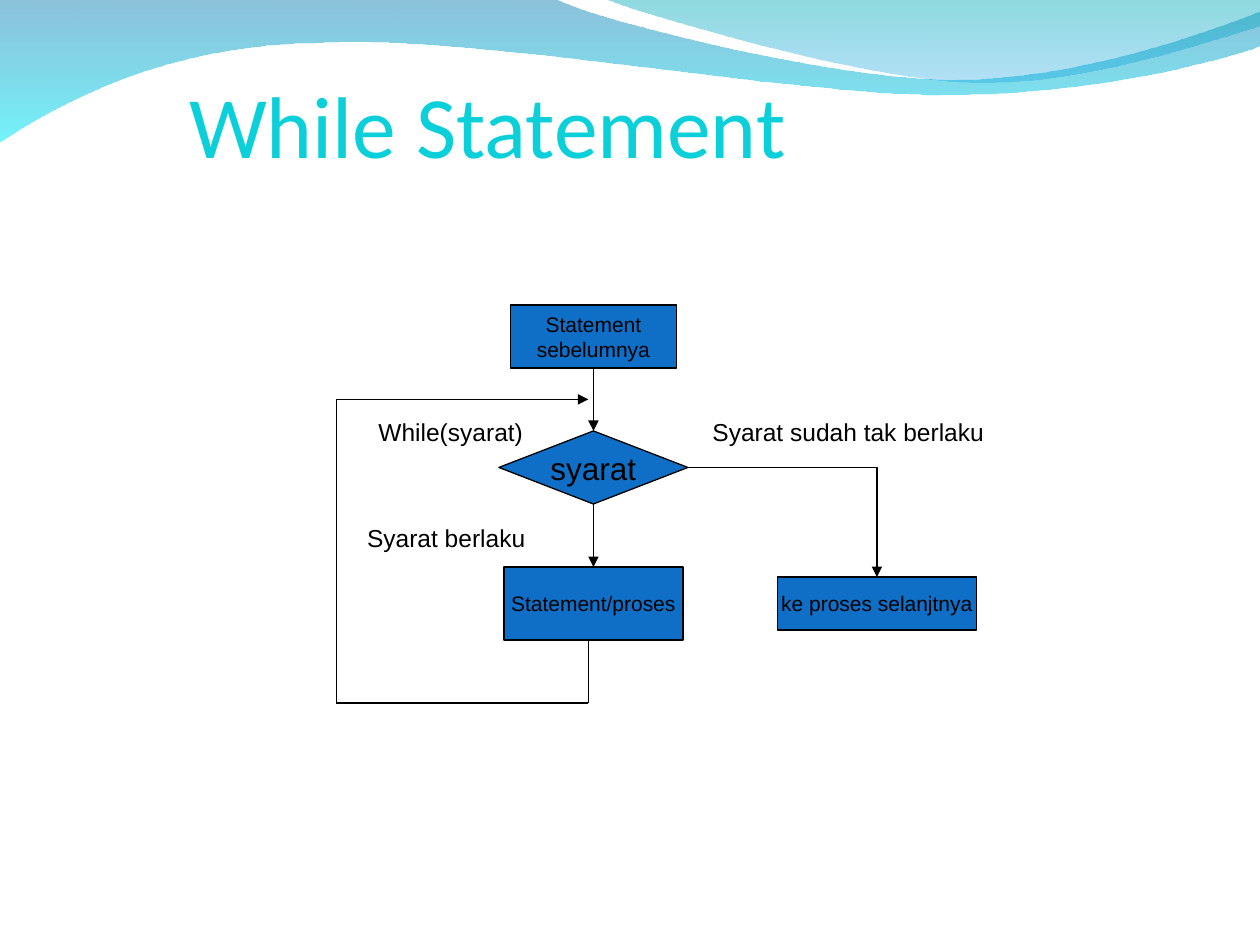
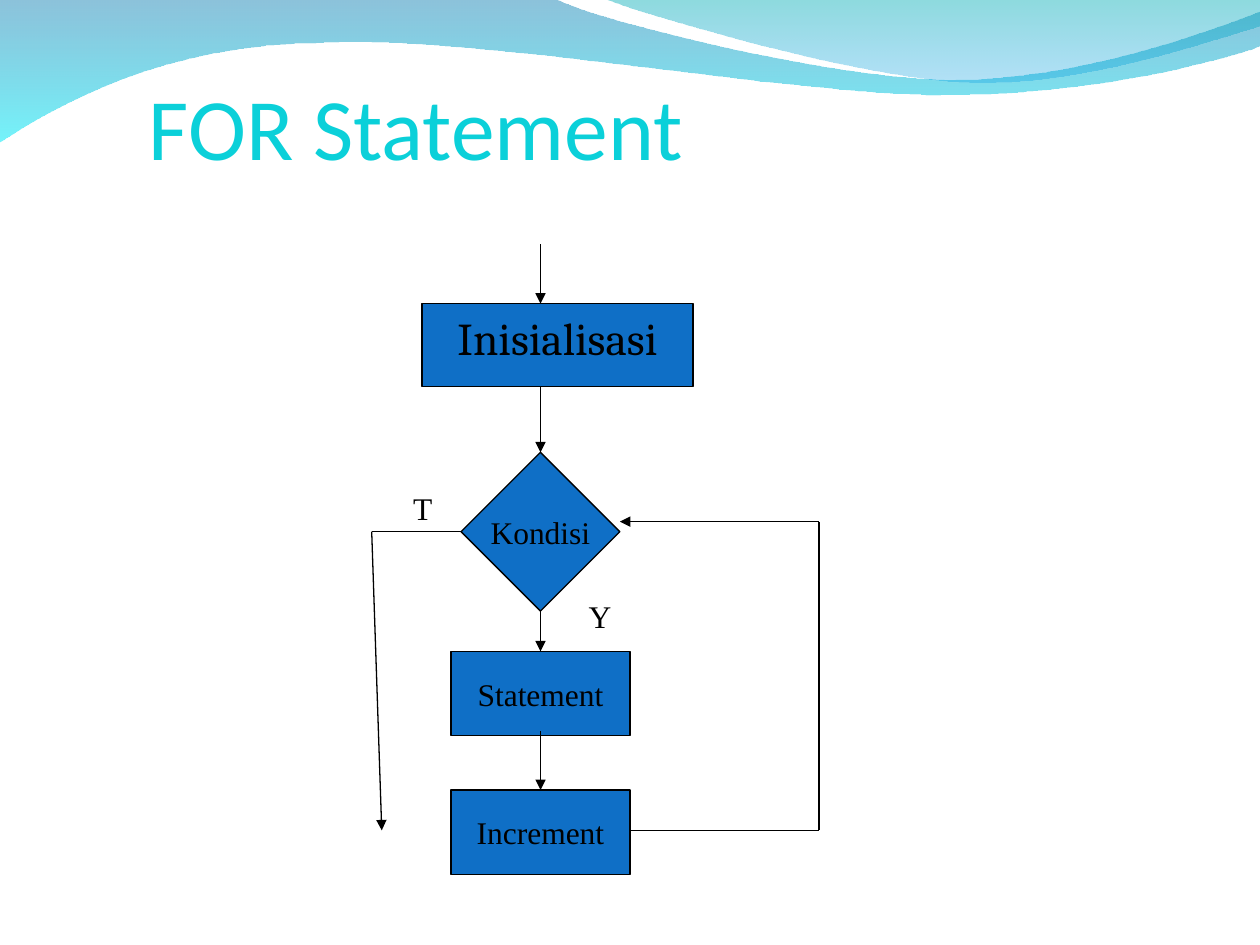
from itertools import pairwise
from lxml.etree import SubElement
from pptx import Presentation
from pptx.dml.color import RGBColor
from pptx.enum.shapes import MSO_CONNECTOR as CONN, MSO_SHAPE as SHAPE
from pptx.enum.text import MSO_ANCHOR as ANCHOR, MSO_AUTO_SIZE as AUTO, PP_ALIGN as ALIGN
from pptx.oxml.ns import qn
from pptx.util import Inches, Pt

COLORS = {"title": "0BD0D9", "box": "0F6FC6", "ink": "000000"}
TITLE_ONLY = 5
TOP, LEFT, BOTTOM, RIGHT = range(4)

WAVES = [
    {"start": (0, -0.01),
     "parts": [[(4.4, -0.01)],
               [(4.76, 0.17), (6.64, 0.63), (7.58, 0.63)],
               [(8.53, 0.63), (9.58, 0.26), (10, 0.09)],
               [(10.01, 0.36)],
               [(9.83, 0.44), (8.7, 0.76), (7.46, 0.75)],
               [(6.22, 0.75), (3.82, 0.28), (2.57, 0.34)],
               [(1.29, 0.35), (0.46, 0.83), (-0.01, 1.13)]],
     "stops": [("0079AF", 45), ("00EBF8", 55)]},
    {"start": (4.79, -0.01),
     "parts": [[(5.09, 0.11), (6.82, 0.62), (7.69, 0.65)],
               [(8.56, 0.69), (9.61, 0.32), (10, 0.21)],
               [(10, 0)]],
     "stops": [("00ADB6", 45), ("009BE5", 30)]},
]

SLIDES = [
    {
        "title": ("While Statement", (1.5, 0.4, 4.92, 1)),
        "font": "Arial",
        "label_size": 14,
        "label_wrap": False,
        "boxes": {
            "before": ("Statement\nsebelumnya", SHAPE.FLOWCHART_PROCESS, (4.05, 2.42, 1.32, 0.5), {"size": 12}),
            "condition": ("syarat", SHAPE.FLOWCHART_DECISION, (3.96, 3.42, 1.5, 0.58), {"size": 18}),
            "process": ("Statement/proses", SHAPE.FLOWCHART_PROCESS, (4, 4.5, 1.42, 0.58), {"size": 12}),
            "next": ("ke proses selanjtnya", SHAPE.FLOWCHART_PROCESS, (6.17, 4.58, 1.58, 0.42), {"size": 12}),
        },
        "labels": [
            ("While(syarat)", (2.9, 3.26, 1.35, 0.34)),
            ("Syarat sudah tak berlaku", (5.53, 3.26, 2.38, 0.34)),
            ("Syarat berlaku", (2.81, 4.1, 1.46, 0.34)),
        ],
        "arrows": [
            ([(4.71, 2.92), (4.71, 3.42)], ("before", BOTTOM), ("condition", TOP)),
            ([(4.71, 4), (4.71, 4.5)], ("condition", BOTTOM), ("process", TOP)),
            ([(4.67, 5.08), (4.67, 5.58), (2.67, 5.58), (2.67, 3.17), (4.67, 3.17)], None, None),
        ],
        "elbows": [([(5.46, 3.71), (6.96, 4.58)], ("condition", RIGHT), ("next", TOP))],
    },
    {
        "title": ("FOR Statement", (1.18, 0.41, 4.33, 1)),
        "font": "Times New Roman",
        "label_size": 18,
        "label_wrap": True,
        "boxes": {
            "init": ("Inisialisasi", SHAPE.RECTANGLE, (3.35, 2.41, 2.15, 0.66),
                     {"size": 26, "name": "Cambria", "anchor": ANCHOR.TOP}),
            "condition": ("Kondisi", SHAPE.DIAMOND, (3.66, 3.59, 1.26, 1.26), {"size": 18}),
            "statement": ("Statement", SHAPE.RECTANGLE, (3.58, 5.17, 1.42, 0.67), {"size": 18}),
            "increment": ("Increment", SHAPE.RECTANGLE, (3.58, 6.27, 1.42, 0.67), {"size": 18}),
        },
        "labels": [
            ("Y", (4.53, 4.69, 0.42, 0.4)),
            ("T", (3.11, 3.83, 0.42, 0.4)),
        ],
        "arrows": [
            ([(4.29, 1.94), (4.29, 2.41)], None, None),
            ([(4.29, 3.07), (4.29, 3.59)], None, ("condition", TOP)),
            ([(4.29, 4.85), (4.29, 5.17)], ("condition", BOTTOM), ("statement", TOP)),
            ([(4.29, 5.8), (4.29, 6.27)], None, ("increment", TOP)),
            ([(3.66, 4.22), (2.95, 4.22), (3.03, 6.59)], ("condition", LEFT), None),
            ([(5, 6.59), (6.5, 6.59), (6.5, 4.14), (4.92, 4.14)], None, None),
        ],
        "elbows": [],
    },
]


def rgb(name):
    return RGBColor.from_string(COLORS[name])


def inches(values):
    return [Inches(v) for v in values]


def set_all(target, values):
    for name, value in values.items():
        setattr(target, name, value)


def write(sp, text, font, size, color="ink", align=ALIGN.CENTER, **frame):
    tf = sp.text_frame
    set_all(tf, frame)
    tf.text = text
    for p in tf.paragraphs:
        p.alignment = align
        for r in p.runs:
            set_all(r.font, {"name": font, "size": Pt(size)})
            r.font.color.rgb = rgb(color)


def bend(sp, parts):
    segments = iter(list(sp.element.iter(qn("a:lnTo"))))
    for part in parts:
        first, *others = [next(segments) for _ in part]
        if others:
            first.tag = qn("a:cubicBezTo")
            for segment in others:
                first.append(segment[0])
                segment.getparent().remove(segment)


def add_wave(s, layout, wave):
    builder = s.shapes.build_freeform(*inches(wave["start"]))
    builder.add_line_segments([inches(pt) for part in wave["parts"] for pt in part], close=True)
    sp = builder.convert_to_shape()
    bend(sp, wave["parts"])
    sp.shadow.inherit = False
    sp.line.fill.background()
    sp.fill.gradient()
    sp.fill.gradient_angle = 270
    for stop, (color, _) in zip(sp.fill.gradient_stops, wave["stops"]):
        stop.color.rgb = RGBColor.from_string(color)
    for el, (_, opacity) in zip(sp.element.spPr.iter(qn("a:srgbClr")), wave["stops"]):
        SubElement(el, qn("a:alpha")).set("val", str(opacity * 1000))
    layout.shapes.element.append(sp.element)


def add_title(s, text, box):
    sp = s.shapes.title
    set_all(sp, dict(zip(("left", "top", "width", "height"), inches(box))))
    write(sp, text, "Calibri", 50, "title", ALIGN.LEFT, vertical_anchor=ANCHOR.BOTTOM,
          margin_left=0, margin_right=0, margin_bottom=0, word_wrap=True, auto_size=AUTO.NONE)


def add_box(s, text, kind, box, style, font):
    sp = s.shapes.add_shape(kind, *inches(box))
    sp.shadow.inherit = False
    sp.fill.solid()
    sp.fill.fore_color.rgb = rgb("box")
    sp.line.color.rgb = rgb("ink")
    sp.line.width = Pt(0.75)
    write(sp, text, style.get("name", font), style["size"],
          vertical_anchor=style.get("anchor", ANCHOR.MIDDLE), word_wrap=False)
    return sp


def add_line(s, start, end, kind=CONN.STRAIGHT, arrow=True):
    cx = s.shapes.add_connector(kind, *inches(start + end))
    cx.line.color.rgb = rgb("ink")
    cx.line.width = Pt(0.75)
    spPr = cx.element.spPr
    if arrow:
        SubElement(spPr.find(qn("a:ln")), qn("a:tailEnd")).set("type", "triangle")
    SubElement(spPr, qn("a:effectLst"))
    if kind == CONN.ELBOW:
        spPr.find(qn("a:prstGeom")).set("prst", "bentConnector2")
    return cx


def add_route(s, boxes, points, source, target, kind=CONN.STRAIGHT):
    legs = list(pairwise(points))
    lines = [add_line(s, a, b, kind, arrow=i == len(legs)) for i, (a, b) in enumerate(legs, 1)]
    if source:
        lines[0].begin_connect(boxes[source[0]], source[1])
    if target:
        lines[-1].end_connect(boxes[target[0]], target[1])


def main():
    prs = Presentation()
    prs.slide_width, prs.slide_height = inches((10, 7.5))
    layout = prs.slide_layouts[TITLE_ONLY]
    for i, page in enumerate(SLIDES):
        s = prs.slides.add_slide(layout)
        if i == 0:
            for wave in WAVES:
                add_wave(s, layout, wave)
        add_title(s, *page["title"])
        boxes = {name: add_box(s, *box, page["font"]) for name, box in page["boxes"].items()}
        for route in page["arrows"]:
            add_route(s, boxes, *route)
        for route in page["elbows"]:
            add_route(s, boxes, *route, kind=CONN.ELBOW)
        for text, box in page["labels"]:
            write(s.shapes.add_textbox(*inches(box)), text, page["font"], page["label_size"],
                  align=ALIGN.RIGHT, word_wrap=page["label_wrap"], auto_size=AUTO.SHAPE_TO_FIT_TEXT)
    prs.save("out.pptx")


if __name__ == "__main__":
    main()
